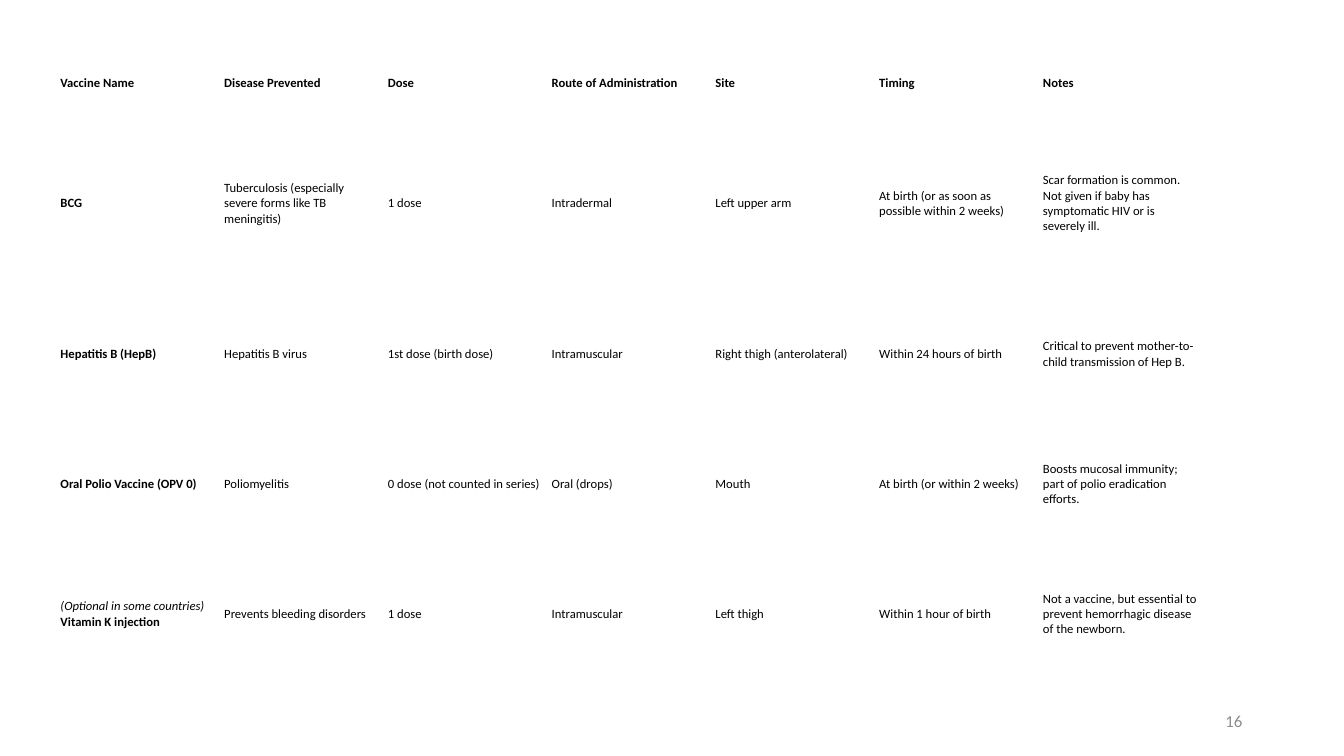
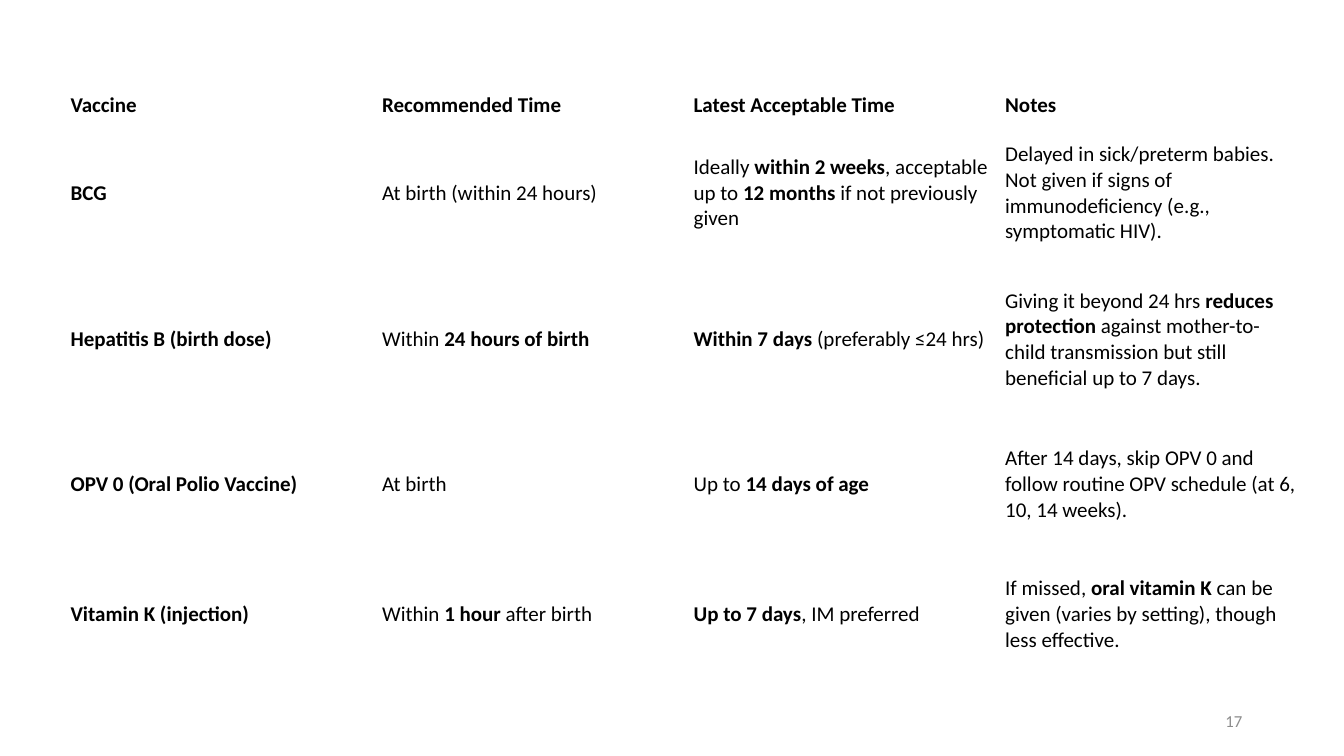
"""Build two slides of newborn vaccine tables."""
from pptx import Presentation
from pptx.dml.color import RGBColor
from pptx.enum.text import MSO_ANCHOR, PP_ALIGN
from pptx.util import Pt

MIDDLE = MSO_ANCHOR.MIDDLE
LEFT, RIGHT = PP_ALIGN.LEFT, PP_ALIGN.RIGHT
PX = 9144
FONT = "Calibri"
BLACK, GRAY = "000000", "8C8C8C"
BLANK_LAYOUT = 6
BOLD_MARK, ITALIC_MARK = "**", "__"

SLIDES = [
    {
        "number": "16",
        "at": (55, 49, 1137),
        "row_heights": (68, 170, 129, 129, 129),
        "size": 9,
        "inset": (5, 3),
        "rows": [
            ("**Vaccine Name**", "**Disease Prevented**", "**Dose**",
             "**Route of Administration**", "**Site**", "**Timing**", "**Notes**"),
            ("**BCG**", "Tuberculosis (especially severe forms like TB meningitis)",
             "1 dose", "Intradermal", "Left upper arm",
             "At birth (or as soon as possible within 2 weeks)",
             "Scar formation is common. Not given if baby has symptomatic HIV "
             "or is severely ill."),
            ("**Hepatitis B (HepB)**", "Hepatitis B virus", "1st dose (birth dose)",
             "Intramuscular", "Right thigh (anterolateral)", "Within 24 hours of birth",
             "Critical to prevent mother-to-child transmission of Hep B."),
            ("**Oral Polio Vaccine (OPV 0)**", "Poliomyelitis",
             "0 dose (not counted in series)", "Oral (drops)", "Mouth",
             "At birth (or within 2 weeks)",
             "Boosts mucosal immunity; part of polio eradication efforts."),
            ("__(Optional in some countries) __**Vitamin K injection**",
             "Prevents bleeding disorders", "1 dose", "Intramuscular", "Left thigh",
             "Within 1 hour of birth",
             "Not a vaccine, but essential to prevent hemorrhagic disease of the newborn."),
        ],
    },
    {
        "number": "17",
        "at": (62, 84, 1236),
        "row_heights": (41, 133, 158, 129, 129),
        "size": 15,
        "inset": (8, 4),
        "rows": [
            ("**Vaccine**", "**Recommended Time**", "**Latest Acceptable Time**",
             "**Notes**"),
            ("**BCG**", "At birth (within 24 hours)",
             "Ideally **within 2 weeks**, acceptable up to **12 months** "
             "if not previously given",
             "Delayed in sick/preterm babies. Not given if signs of immunodeficiency "
             "(e.g., symptomatic HIV)."),
            ("**Hepatitis B (birth dose)**", "Within **24 hours of birth**",
             "**Within 7 days** (preferably ≤24 hrs)",
             "Giving it beyond 24 hrs **reduces protection** against mother-to-child "
             "transmission but still beneficial up to 7 days."),
            ("**OPV 0 (Oral Polio Vaccine)**", "At birth", "Up to **14 days of age**",
             "After 14 days, skip OPV 0 and follow routine OPV schedule "
             "(at 6, 10, 14 weeks)."),
            ("**Vitamin K (injection)**", "Within **1 hour** after birth",
             "**Up to 7 days**, IM preferred",
             "If missed, **oral vitamin K** can be given (varies by setting), "
             "though less effective."),
        ],
    },
]


def px(length):
    return round(length * PX)


def color(value):
    return RGBColor.from_string(value)


def write(frame, text, *, size, fill=BLACK, align=LEFT):
    para = frame.paragraphs[0]
    para.alignment = align
    for bold_index, part in enumerate(text.split(BOLD_MARK)):
        for italic_index, words in enumerate(part.split(ITALIC_MARK)):
            if not words:
                continue
            span = para.add_run()
            span.text = words
            span.font.name = FONT
            span.font.size = Pt(size)
            span.font.bold = bold_index % 2 == 1
            span.font.italic = italic_index % 2 == 1
            span.font.color.rgb = color(fill)


def add_vaccine_table(page, content):
    rows, heights = content["rows"], content["row_heights"]
    left, top, width = content["at"]
    column_count = len(rows[0])
    table = page.shapes.add_table(
        len(rows), column_count, px(left), px(top), px(width), px(sum(heights))
    ).table
    table.first_row = False
    table.horz_banding = False
    for column in table.columns:
        column.width = px(width / column_count)
    side, edge = map(px, content["inset"])
    for row, height, texts in zip(table.rows, heights, rows):
        row.height = px(height)
        for cell, text in zip(row.cells, texts):
            cell.fill.background()
            cell.vertical_anchor = MIDDLE
            cell.margin_left = cell.margin_right = side
            cell.margin_top = cell.margin_bottom = edge
            write(cell.text_frame, text, size=content["size"])


def add_page_number(page, number):
    box = page.shapes.add_textbox(px(942), px(695), px(300), px(40))
    frame = box.text_frame
    frame.word_wrap = True
    frame.vertical_anchor = MIDDLE
    write(frame, number, size=12, fill=GRAY, align=RIGHT)


def main():
    deck = Presentation()
    deck.slide_width, deck.slide_height = px(1333), px(750)
    for content in SLIDES:
        page = deck.slides.add_slide(deck.slide_layouts[BLANK_LAYOUT])
        add_vaccine_table(page, content)
        add_page_number(page, content["number"])
    deck.save("out.pptx")


if __name__ == "__main__":
    main()
